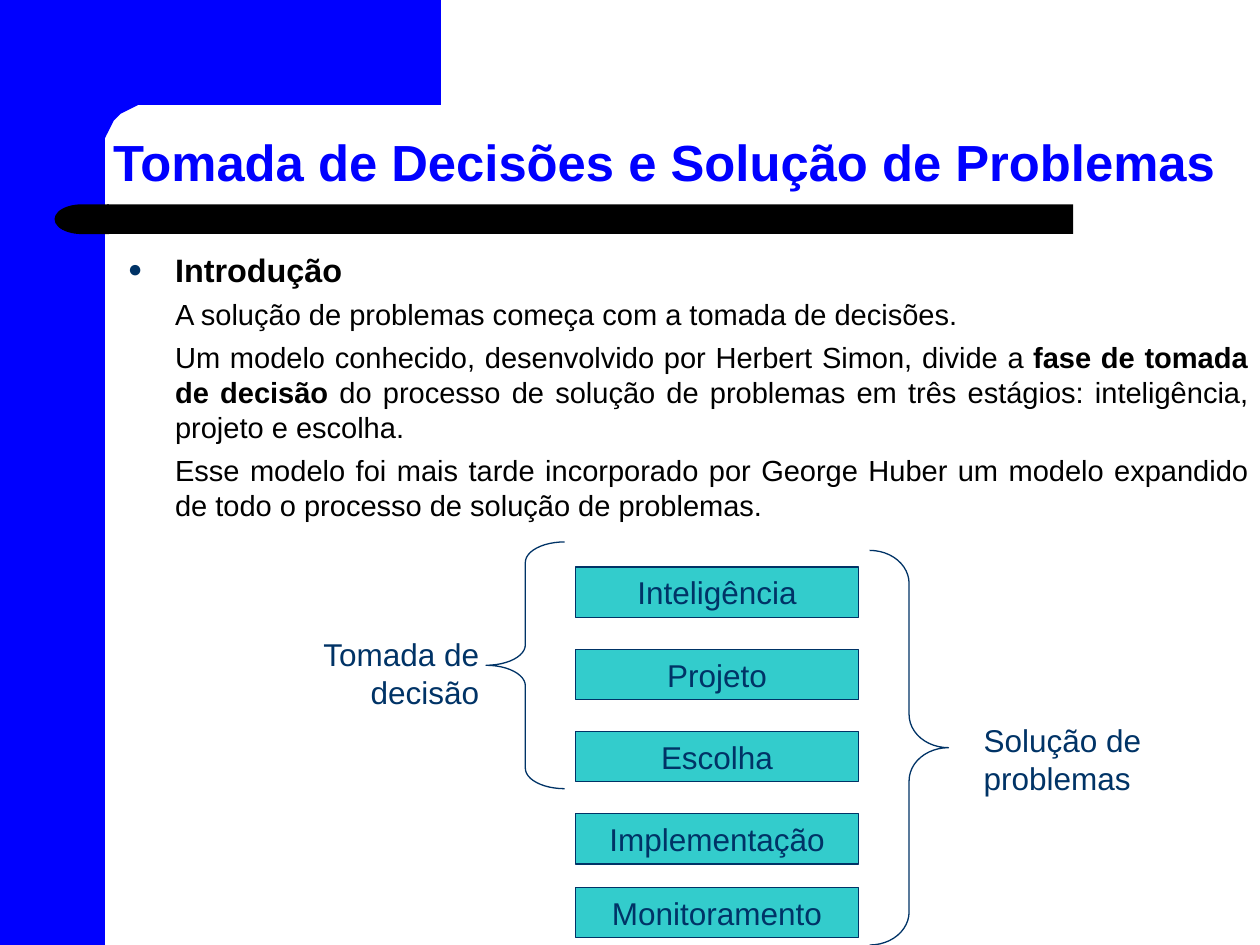
import math

from lxml import etree
from pptx import Presentation
from pptx.dml.color import RGBColor
from pptx.enum import shapes, text
from pptx.oxml import ns
from pptx.util import Pt

COLORS = {"blue": "0000FF", "black": "000000", "navy": "003366", "teal": "33CCCC"}
KIND = shapes.MSO_SHAPE
ALIGN = text.PP_ALIGN
LABEL = {"size": 18, "color": "navy", "spacing": Pt(21.7)}


def rgb(name):
    return RGBColor.from_string(COLORS[name])


def paint(sp, fill=None, line=None):
    """Give a shape its fill and outline, without a shadow."""
    sp.shadow.inherit = False
    if fill:
        sp.fill.solid()
        sp.fill.fore_color.rgb = rgb(fill)
    else:
        sp.fill.background()
    if line:
        sp.line.color.rgb = rgb(line)
        sp.line.width = Pt(0.75)
    else:
        sp.line.fill.background()
    return sp


def add_shape(s, kind, box, fill=None, line=None, adj=()):
    sp = s.shapes.add_shape(kind, *map(Pt, box))
    for i, value in enumerate(adj):
        sp.adjustments[i] = value
    return paint(sp, fill, line)


def write(p, runs, size, color, spacing, align=ALIGN.LEFT, before=0):
    """Fill a paragraph with (words, bold) runs."""
    layout = {"alignment": align, "line_spacing": spacing, "space_before": Pt(before)}
    for name, value in layout.items():
        setattr(p, name, value)
    for words, bold in runs:
        r = p.add_run()
        r.text = words
        for name, value in {"name": "Arial", "size": Pt(size), "bold": bold}.items():
            setattr(r.font, name, value)
        r.font.color.rgb = rgb(color)


def add_text(s, box, paragraphs, anchor=text.MSO_ANCHOR.TOP, wrap=True):
    """Add a text box; each paragraph is (runs, format)."""
    tf = s.shapes.add_textbox(*map(Pt, box)).text_frame
    tf.word_wrap = wrap
    tf.vertical_anchor = anchor
    for i, (runs, fmt) in enumerate(paragraphs):
        p = tf.add_paragraph() if i else tf.paragraphs[0]
        write(p, runs, **fmt)
    return tf


def add_label(s, box, lines, align, wrap=True):
    fmt = dict(LABEL, align=align)
    add_text(s, box, [([(line, False)], fmt) for line in lines], wrap=wrap)


def indent(p, left, first=0):
    pPr = p._p.get_or_add_pPr()
    pPr.set("marL", str(Pt(left)))
    pPr.set("indent", str(Pt(first)))
    return pPr


def add_bullet(p, left):
    pPr = indent(p, left, -left)
    color = etree.SubElement(pPr, ns.qn("a:buClr"))
    etree.SubElement(color, ns.qn("a:srgbClr")).set("val", COLORS["navy"])
    for tag, key, value in (("a:buSzPct", "val", "75000"),
                            ("a:buFont", "typeface", "Arial"),
                            ("a:buChar", "char", "●")):
        etree.SubElement(pPr, ns.qn(tag)).set(key, value)


def add_corner(s):
    """Top block whose inner corner is a quarter circle."""
    radius, center = 24, 84
    angles = [math.radians(90 * i / 16) for i in range(17)]
    arc = [(center - radius * math.sin(a), center - radius * math.cos(a)) for a in angles]
    builder = s.shapes.build_freeform(36, 0, scale=Pt(1))
    builder.add_line_segments([(252, 0), (252, 60), *arc, (60, 92), (36, 92)], close=True)
    paint(builder.convert_to_shape(), "blue")


def add_frame(s):
    add_shape(s, KIND.RECTANGLE, (0, 0, 60, 540), "blue")
    add_corner(s)
    add_shape(s, KIND.ROUNDED_RECTANGLE, (61.2, 116.8, 552, 16.8), "black", adj=[0])
    cap = add_shape(s, KIND.FLOWCHART_DELAY, (31.2, 116.8, 31, 17), "black")
    cap._element.spPr.find(ns.qn("a:xfrm")).set("flipH", "1")


def add_body(s):
    heading = {"size": 18.5, "color": "black", "spacing": Pt(22.3), "before": 5}
    plain = {"size": 16.6, "color": "black", "spacing": Pt(20),
             "align": ALIGN.JUSTIFY, "before": 4.5}
    tf = add_text(s, (66, 139, 654, 165), [
        ([("Introdução", True)], heading),
        ([("A solução de problemas começa com a tomada de decisões.", False)], plain),
        ([("Um modelo conhecido, desenvolvido por Herbert Simon, divide a ", False),
          ("fase de tomada de decisão", True),
          (" do processo de solução de problemas em três estágios: "
           "inteligência, projeto e escolha.", False)], plain),
        ([("Esse modelo foi mais tarde incorporado por George Huber um modelo "
           "expandido de todo o processo de solução de problemas.", False)], plain),
    ])
    add_bullet(tf.paragraphs[0], 27)
    for p in tf.paragraphs[1:]:
        indent(p, 27)


def add_stage(s, top, name):
    sp = add_shape(s, KIND.RECTANGLE, (329, top, 161.5, 28.8), "teal", "navy")
    tf = sp.text_frame
    tf.vertical_anchor = text.MSO_ANCHOR.TOP
    write(tf.paragraphs[0], [(name, False)], align=ALIGN.CENTER, **LABEL)


def main():
    prs = Presentation()
    prs.slide_width, prs.slide_height = Pt(720), Pt(540)
    s = prs.slides.add_slide(prs.slide_layouts[6])

    # Frame, title and body
    add_frame(s)
    title = {"size": 29, "color": "blue", "spacing": 0.9}
    add_text(s, (57.6, 64, 659, 49.7),
             [([("Tomada de Decisões e Solução de Problemas", True)], title)],
             anchor=text.MSO_ANCHOR.BOTTOM)
    add_body(s)

    # Stages of the process
    stages = {"Inteligência": 324, "Projeto": 371, "Escolha": 418,
              "Implementação": 465, "Monitoramento": 507}
    for name, top in stages.items():
        add_stage(s, top, name)

    # Braces and their labels
    add_shape(s, KIND.LEFT_BRACE, (277.7, 309.7, 45, 141), line="navy", adj=[0.26, 0.5])
    add_shape(s, KIND.RIGHT_BRACE, (497, 314.5, 45, 225.5), line="navy", adj=[0.42, 0.5])
    add_label(s, (176, 359.3, 105, 50.4), ["Tomada de", "decisão"], ALIGN.RIGHT, wrap=False)
    add_label(s, (555, 408.3, 122.4, 50.4), ["Solução de", "problemas"], ALIGN.LEFT)

    prs.save("out.pptx")


if __name__ == "__main__":
    main()
